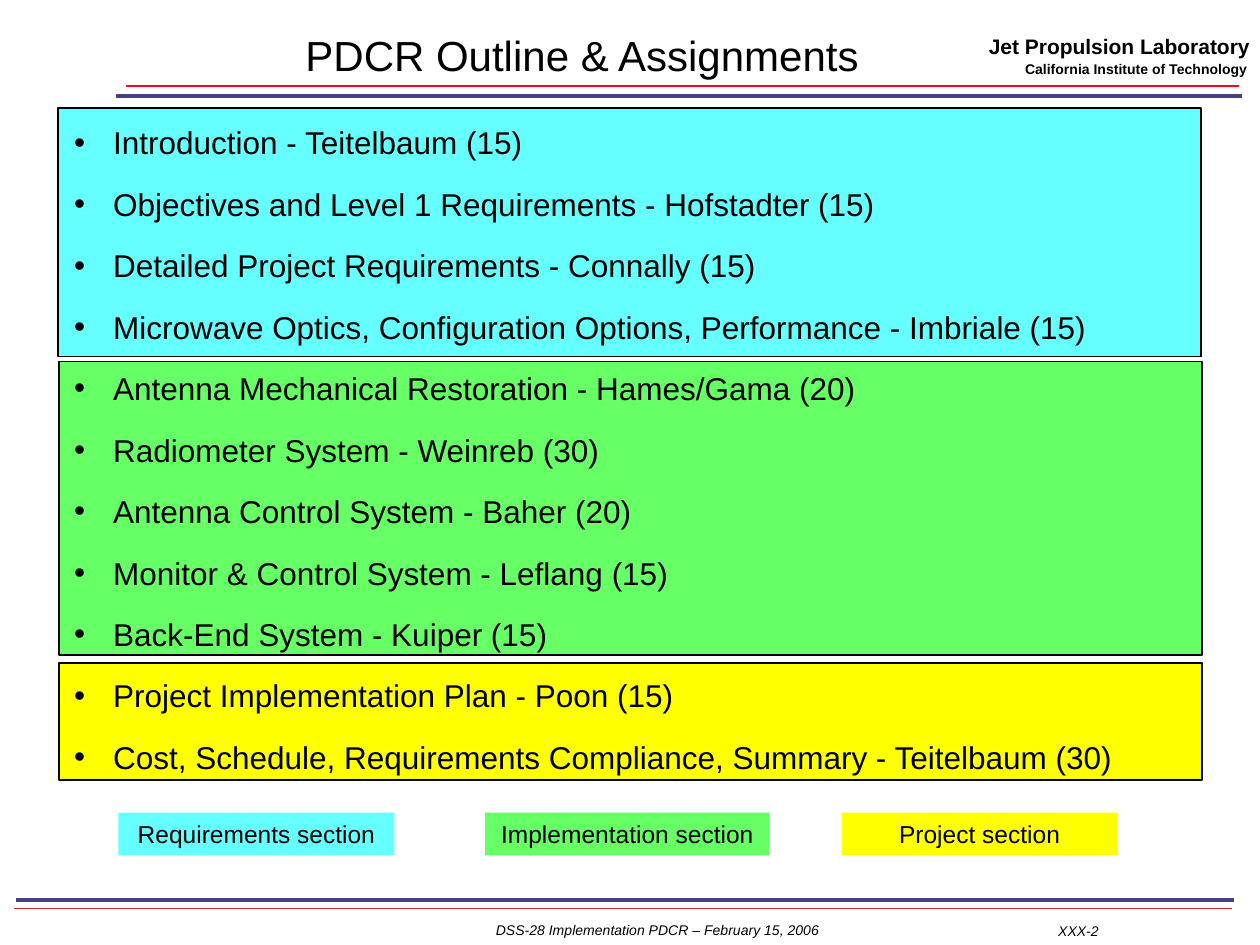
from dataclasses import dataclass

from lxml.etree import SubElement
from pptx import Presentation
from pptx.dml.color import RGBColor
from pptx.enum.shapes import MSO_CONNECTOR, MSO_SHAPE
from pptx.enum.text import MSO_ANCHOR, MSO_AUTO_SIZE, PP_ALIGN
from pptx.oxml.ns import qn
from pptx.shapes.autoshape import Shape
from pptx.slide import Slide
from pptx.util import Inches, Pt

FONT = "Arial"
BLACK = RGBColor(0x00, 0x00, 0x00)
CYAN = RGBColor(0x66, 0xFF, 0xFF)
GREEN = RGBColor(0x66, 0xFF, 0x66)
YELLOW = RGBColor(0xFF, 0xFF, 0x00)
INDIGO = RGBColor(0x47, 0x3F, 0x87)
RED = RGBColor(0xFC, 0x01, 0x28)
BRICK = RGBColor(0xBF, 0x2F, 0x27)


@dataclass(frozen=True)
class Area:
    left: float
    top: float
    width: float
    height: float

    def lengths(self) -> tuple:
        return tuple(map(Inches, (self.left, self.top, self.width, self.height)))


@dataclass(frozen=True)
class Section:
    label: str
    color: RGBColor
    panel: Area
    legend: Area
    topics: tuple[str, ...]


@dataclass(frozen=True)
class Rule:
    left: float
    right: float
    y: float
    color: RGBColor
    weight: float


SECTIONS = (
    Section("Requirements section", CYAN,
            Area(0.46, 0.86, 9.07, 1.97), Area(0.94, 6.45, 2.19, 0.34),
            ("Introduction - Teitelbaum (15)",
             "Objectives and Level 1 Requirements - Hofstadter (15)",
             "Detailed Project Requirements - Connally (15)",
             "Microwave Optics, Configuration Options, Performance - Imbriale (15)")),
    Section("Implementation section", GREEN,
            Area(0.47, 2.87, 9.07, 2.33), Area(3.85, 6.45, 2.26, 0.34),
            ("Antenna Mechanical Restoration - Hames/Gama (20)",
             "Radiometer System - Weinreb (30)",
             "Antenna Control System - Baher (20)",
             "Monitor & Control System - Leflang (15)",
             "Back-End System - Kuiper (15)")),
    Section("Project section", YELLOW,
            Area(0.47, 5.26, 9.07, 0.93), Area(6.68, 6.45, 2.19, 0.34),
            ("Project Implementation Plan - Poon (15)",
             "Cost, Schedule, Requirements Compliance, Summary - Teitelbaum (30)")),
)

RULES = (
    Rule(0.11, 9.78, 7.21, BRICK, 0.75),
    Rule(0.13, 9.79, 7.14, INDIGO, 2.25),
    Rule(0.92, 9.86, 0.76, INDIGO, 2.25),
    Rule(1.0, 9.83, 0.68, RED, 1),
)


def add_bullet(para, indent: float) -> None:
    properties = para._p.get_or_add_pPr()
    properties.set("marL", str(Inches(indent)))
    properties.set("indent", str(-Inches(indent)))
    color = SubElement(properties, qn("a:buClr"))
    SubElement(color, qn("a:srgbClr"), val=str(BLACK))
    SubElement(properties, qn("a:buFont"), typeface=FONT)
    SubElement(properties, qn("a:buChar"), char="•")


def write(box: Shape, *lines: str, size: float, bold: bool = False,
          italic: bool = False, align=PP_ALIGN.LEFT, anchor=MSO_ANCHOR.TOP,
          line_spacing: float = 1.0, before: float = 0, after: float = 0,
          bullet_indent: float = 0) -> None:
    """Fill the box with one paragraph per line, all in the same format."""
    frame = box.text_frame
    frame.word_wrap = True
    frame.auto_size = MSO_AUTO_SIZE.NONE
    frame.vertical_anchor = anchor
    for index, line in enumerate(lines):
        para = frame.add_paragraph() if index else frame.paragraphs[0]
        para.alignment = align
        para.line_spacing = line_spacing
        para.space_before = Pt(before if index else 0)
        para.space_after = Pt(after)
        if bullet_indent:
            add_bullet(para, bullet_indent)
        span = para.add_run()
        span.text = line
        font = span.font
        font.name, font.size = FONT, Pt(size)
        font.bold, font.italic = bold, italic
        font.color.rgb = BLACK


def add_text(page: Slide, area: Area, *lines: str, **text_format) -> None:
    write(page.shapes.add_textbox(*area.lengths()), *lines, **text_format)


def add_block(page: Slide, area: Area, color: RGBColor, outlined: bool) -> Shape:
    block = page.shapes.add_shape(MSO_SHAPE.RECTANGLE, *area.lengths())
    block.shadow.inherit = False
    block.fill.solid()
    block.fill.fore_color.rgb = color
    if outlined:
        block.line.color.rgb = BLACK
        block.line.width = Pt(1)
    else:
        block.line.fill.background()
    return block


def add_rule(page: Slide, rule: Rule) -> None:
    y = Inches(rule.y)
    line = page.shapes.add_connector(
        MSO_CONNECTOR.STRAIGHT, Inches(rule.left), y, Inches(rule.right), y)
    line.line.color.rgb = rule.color
    line.line.width = Pt(rule.weight)
    SubElement(line._element.spPr, qn("a:effectLst"))


def main() -> None:
    deck = Presentation()
    deck.slide_width, deck.slide_height = Inches(10), Inches(7.5)
    page = deck.slides.add_slide(deck.slide_layouts[5])

    title = page.shapes.title
    title.left, title.top, title.width, title.height = Area(1.83, 0.25, 5.58, 0.42).lengths()
    write(title, "PDCR Outline & Assignments", size=24, align=PP_ALIGN.CENTER,
          anchor=MSO_ANCHOR.MIDDLE, line_spacing=0.87)

    for rule in RULES:
        add_rule(page, rule)
    add_text(page, Area(7.6, 0.24, 2.42, 0.28), "Jet Propulsion Laboratory",
             size=12, bold=True, align=PP_ALIGN.RIGHT, line_spacing=0.9)
    add_text(page, Area(7.6, 0.45, 2.4, 0.22), "California Institute of Technology",
             size=8, bold=True, align=PP_ALIGN.RIGHT, line_spacing=0.9)
    add_text(page, Area(2.72, 7.27, 5, 0.23),
             "DSS-28 Implementation PDCR – February 15, 2006",
             size=8, italic=True, align=PP_ALIGN.CENTER, line_spacing=0.97)
    add_text(page, Area(8.3, 7.27, 0.97, 0.24), "XXX-2", size=8, italic=True)

    for section in reversed(SECTIONS):
        add_block(page, section.panel, section.color, outlined=True)
    topics = [topic for section in SECTIONS for topic in section.topics]
    add_text(page, Area(0.49, 0.93, 9, 5.86), *topics, size=18,
             before=9, after=4.5, bullet_indent=0.31)
    for section in SECTIONS:
        legend = add_block(page, section.legend, section.color, outlined=False)
        write(legend, section.label, size=14, align=PP_ALIGN.CENTER,
              anchor=MSO_ANCHOR.MIDDLE)

    deck.save("out.pptx")


if __name__ == "__main__":
    main()
